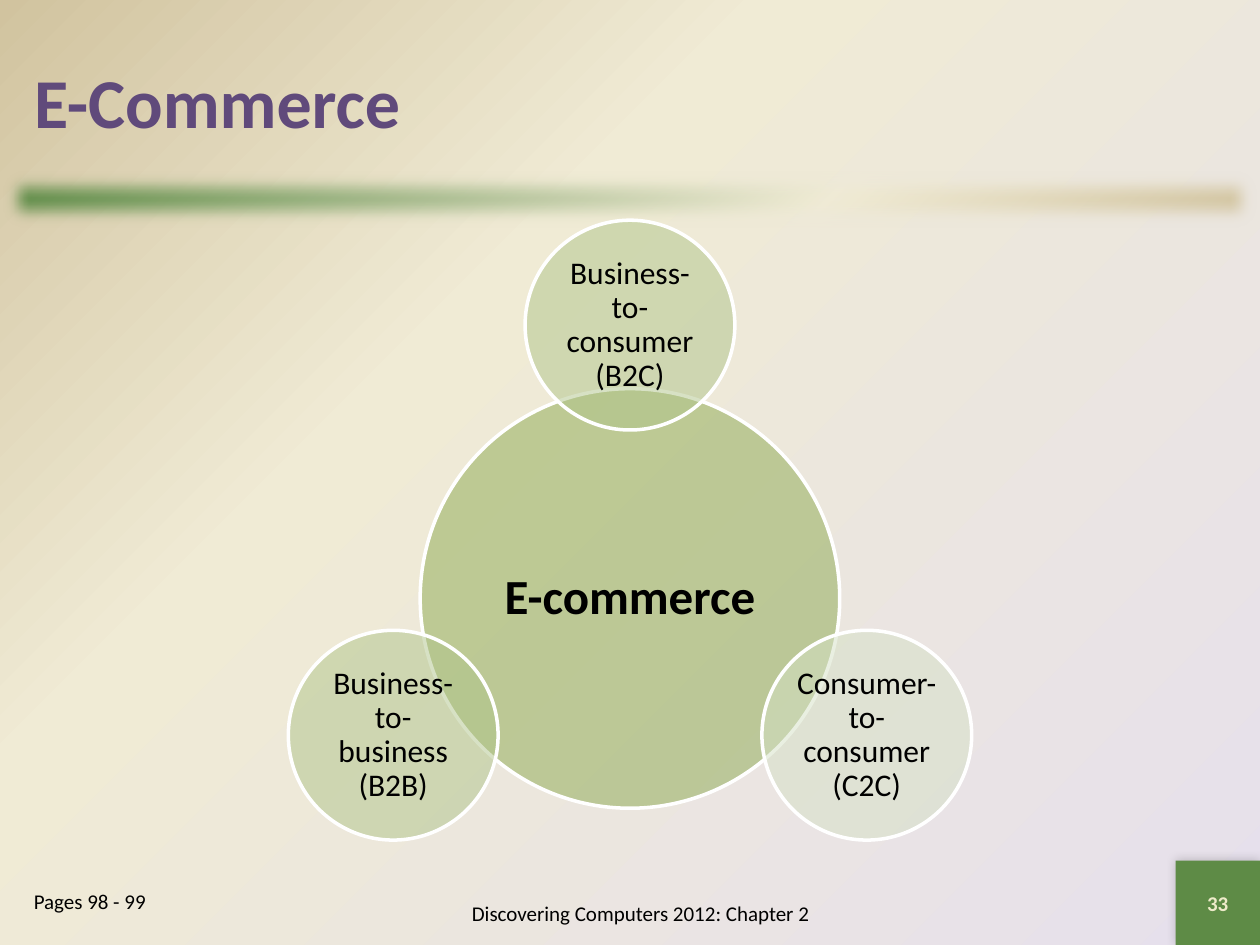
import math
from dataclasses import dataclass

import lxml.etree
import pptx
import pptx.dml.color
import pptx.enum.shapes
import pptx.enum.text
import pptx.oxml.ns
import pptx.util

Inches = pptx.util.Inches
Shape = pptx.enum.shapes.MSO_SHAPE
Align = pptx.enum.text.PP_ALIGN
Anchor = pptx.enum.text.MSO_ANCHOR
qn = pptx.oxml.ns.qn


@dataclass(frozen=True)
class Theme:
    font: str = "Calibri"
    title: str = "604A7B"
    ink: str = "000000"
    white: str = "FFFFFF"
    green: str = "5E8B46"
    cream: str = "F0EBD5"
    tan: str = "D1C39F"
    lilac: str = "E6E0EC"
    pale: str = "EEEBCA"
    head_size: int = 40
    hub_size: int = 28
    node_size: int = 18
    foot_size: int = 12


@dataclass(frozen=True)
class Disc:
    text: str
    fill: str
    x: float
    y: float
    size: float
    type_size: int
    bold: bool = False
    inset: float = 0.03


THEME = Theme()


def rgb(code: str) -> pptx.dml.color.RGBColor:
    return pptx.dml.color.RGBColor.from_string(code)


def write(frame, text: str, *, size: int, color: str = THEME.ink, bold: bool = False,
          align=Align.CENTER, anchor=Anchor.MIDDLE, inset: float | None = None,
          line: float = 1.0) -> None:
    """Put one formatted paragraph into a text frame."""
    frame.word_wrap = True
    frame.auto_size = pptx.enum.text.MSO_AUTO_SIZE.NONE
    frame.vertical_anchor = anchor
    if inset is not None:
        frame.margin_left = frame.margin_right = Inches(inset)
        frame.margin_top = frame.margin_bottom = Inches(inset)
    para = frame.paragraphs[0]
    para.alignment = align
    para.line_spacing = line
    run = para.add_run()
    run.text = text
    run.font.name = THEME.font
    run.font.size = pptx.util.Pt(size)
    run.font.bold = bold
    run.font.color.rgb = rgb(color)


def blend(fill, root, stops: list[tuple[int, str]]) -> None:
    """Give a fill a diagonal gradient with any number of stops."""
    fill.gradient()
    fill.gradient_angle = 315
    stop_list = root.xpath(".//a:gsLst")[0]
    for old in list(stop_list):
        stop_list.remove(old)
    for place, color in stops:
        stop = lxml.etree.SubElement(stop_list, qn("a:gs"), pos=str(place * 1000))
        lxml.etree.SubElement(stop, qn("a:srgbClr"), val=color)


def add_box(slide, kind, x: float, y: float, w: float, h: float):
    box = slide.shapes.add_shape(kind, Inches(x), Inches(y), Inches(w), Inches(h))
    box.shadow.inherit = False
    box.line.fill.background()
    return box


def add_effect(shape, tag: str, **values: str):
    effects = shape.element.xpath("./p:spPr/a:effectLst")[0]
    return lxml.etree.SubElement(effects, qn(tag), **values)


def add_alpha(color, percent: int) -> None:
    lxml.etree.SubElement(color, qn("a:alpha"), val=str(percent * 1000))


def add_note(slide, text: str, x: float, y: float, w: float, h: float, **style) -> None:
    box = slide.shapes.add_textbox(Inches(x), Inches(y), Inches(w), Inches(h))
    write(box.text_frame, text, size=THEME.foot_size, **style)


def add_disc(slide, disc: Disc) -> None:
    """Draw a half-transparent circle around its centre point."""
    half = disc.size / 2
    shape = add_box(slide, Shape.OVAL, disc.x - half, disc.y - half, disc.size, disc.size)
    shape.fill.solid()
    shape.fill.fore_color.rgb = rgb(disc.fill)
    add_alpha(shape.element.xpath("./p:spPr/a:solidFill/a:srgbClr")[0], 50)
    shape.line.color.rgb = rgb(THEME.white)
    shape.line.width = pptx.util.Pt(2)
    write(shape.text_frame, disc.text, size=disc.type_size, bold=disc.bold,
          inset=disc.inset, line=0.9)


def main() -> None:
    deck = pptx.Presentation()
    deck.slide_width, deck.slide_height = Inches(10), Inches(7.5)
    slide = deck.slides.add_slide(deck.slide_layouts[5])

    # Background
    blend(slide.background.fill, slide.element,
          [(0, THEME.tan), (35, THEME.cream), (100, THEME.lilac)])

    # Soft bar under the title
    bar = add_box(slide, Shape.RECTANGLE, 0, 1.33, 10, 0.5)
    blend(bar.fill, bar.element, [(0, THEME.green), (65, THEME.cream), (100, THEME.tan)])
    add_effect(bar, "a:softEdge", rad=str(Inches(0.14)))

    # Title
    title = slide.shapes.title
    title.left, title.top = Inches(0.17), Inches(0.17)
    title.width, title.height = Inches(9.67), Inches(1.25)
    write(title.text_frame, "E-Commerce", size=THEME.head_size, color=THEME.title,
          bold=True, align=Align.LEFT)

    # Page number tile
    tile = add_box(slide, Shape.RECTANGLE, 9.33, 6.83, 0.67, 0.67)
    tile.fill.solid()
    tile.fill.fore_color.rgb = rgb(THEME.green)
    shade = add_effect(tile, "a:outerShdw", blurRad=str(pptx.util.Pt(6)), dist="0",
                       dir=str(225 * 60000))
    add_alpha(lxml.etree.SubElement(shade, qn("a:srgbClr"), val=THEME.ink), 20)
    write(tile.text_frame, "33", size=THEME.foot_size, color=THEME.pale, bold=True)

    # Footer
    add_note(slide, "Discovering Computers 2012: Chapter 2", 3, 7, 4.17, 0.5)
    add_note(slide, "Pages 98 - 99", 0.17, 7, 1.83, 0.5, align=Align.LEFT,
             anchor=Anchor.TOP)

    # Hub, with its nodes evenly spaced on a ring
    hub = Disc("E-commerce", "8DAA51", 5, 4.75, 3.33, THEME.hub_size, True, 0.04)
    add_disc(slide, hub)
    ring = 2.17
    nodes = [
        ("Business-to-consumer (B2C)", "B0C58B"),
        ("Consumer-to-consumer (C2C)", "D5E1C5"),
        ("Business-to-business (B2B)", "B0C58B"),
    ]
    for i, (text, fill) in enumerate(nodes):
        turn = math.radians(-90 + i * 360 / len(nodes))
        add_disc(slide, Disc(text, fill, hub.x + ring * math.cos(turn),
                             hub.y + ring * math.sin(turn), hub.size / 2,
                             THEME.node_size))

    deck.save("out.pptx")


if __name__ == "__main__":
    main()
